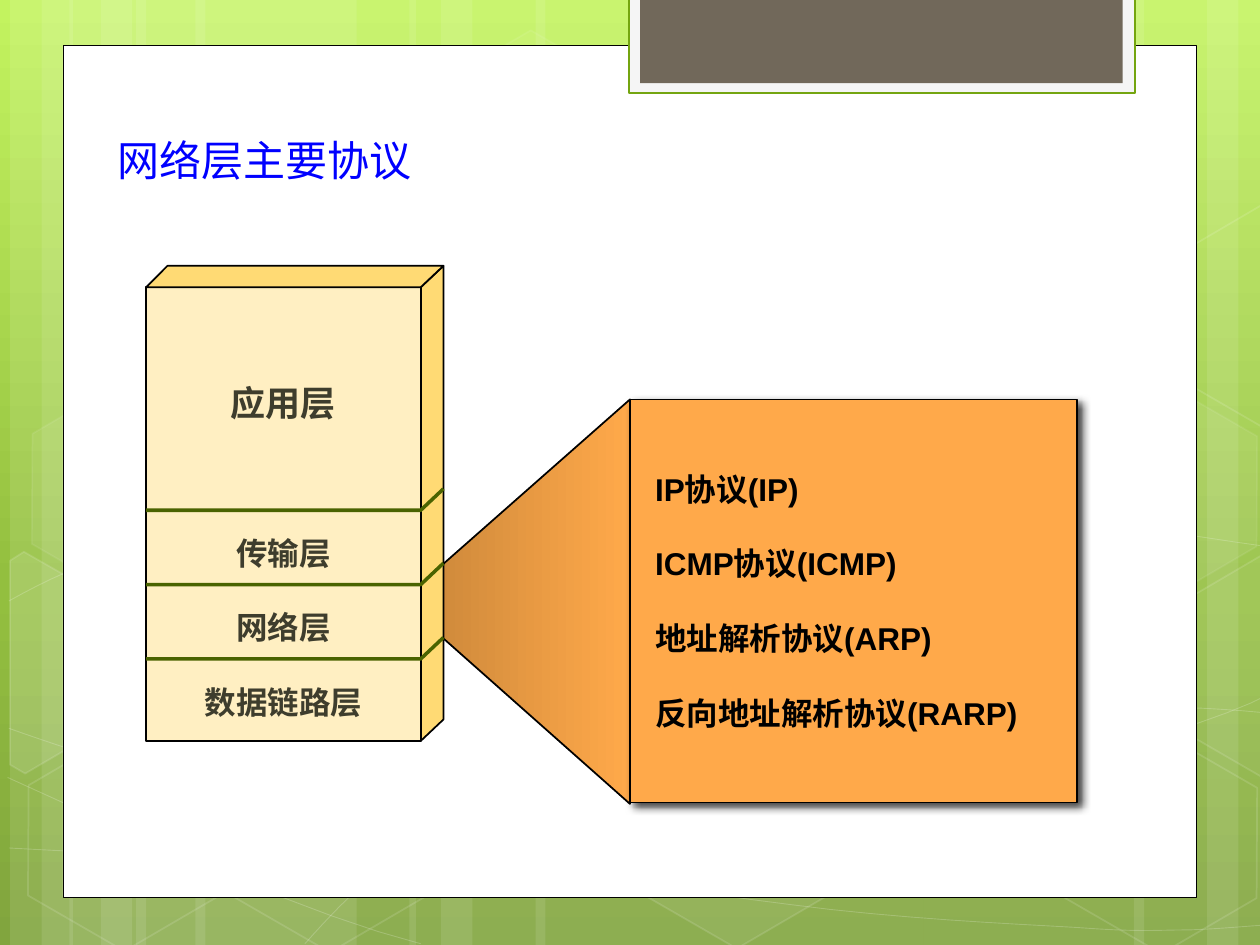
from lxml.etree import SubElement
from pptx import Presentation
from pptx.dml.color import RGBColor
from pptx.enum.shapes import MSO_SHAPE
from pptx.enum.text import MSO_ANCHOR, MSO_AUTO_SIZE, PP_ALIGN
from pptx.oxml.ns import qn
from pptx.util import Inches, Pt

# Content
TITLE = "网络层主要协议"
TOP_LAYER = "应用层"
LOWER_LAYERS = ["传输层", "网络层", "数据链路层"]
PROTOCOLS = ["IP协议(IP)", "ICMP协议(ICMP)", "地址解析协议(ARP)", "反向地址解析协议(RARP)"]

COLORS = {
    "white": "FFFFFF", "black": "000000", "tab": "F5F5F5", "tab_line": "74A510",
    "tab_inner": "71685A", "title": "0000FF", "card": "FFA94A", "card_dark": "C88539",
    "front": "FFEFC2", "side": "FFDA74", "divider": "4A6300", "layer_text": "3E3D2D",
}
BACKGROUND_STOPS = [(0, "C3F35F"), (62, "93BF3F"), (100, "81A53E")]

# Background decoration: stripes are (left, width)
STRIPES = [(1.08, 1.75), (0.08, 0.5), (0.33, 0.83), (1.55, 1.75), (0.55, 0.5), (0.8, 0.83),
           (7.33, 1.75), (9.58, 0.5), (9, 0.83), (4.25, 3.08), (3.25, 0.5), (3.5, 0.83)]
# Each curve is a start point followed by cubic segments of three points
CURVES = [
    [(0.07, 6.73), (0.61, 6.76), (1.15, 6.79), (1.9, 6.78), (2.65, 6.77), (3.58, 6.75),
     (4.58, 6.65), (5.58, 6.55), (7, 6.36), (7.92, 6.17), (8.83, 5.98), (9.77, 5.68), (10.07, 5.51)],
    [(0.07, 4.77), (0.36, 4.61), (0.65, 4.46), (1.21, 4.31), (1.78, 4.16), (2.59, 3.94),
     (3.47, 3.87), (4.36, 3.8), (5.44, 3.79), (6.54, 3.87), (7.64, 3.95), (9.47, 4.26), (10.07, 4.34)],
    [(0.06, 6.17), (1.27, 6.72), (2.47, 7.27), (3.34, 7.49)],
    [(0.07, 5.78), (0.38, 5.89), (0.7, 6), (1.28, 6.16), (1.86, 6.31), (2.73, 6.56),
     (3.57, 6.73), (4.4, 6.9), (5.45, 7.08), (6.28, 7.18), (7.11, 7.29), (8, 7.33),
     (8.53, 7.36), (9.05, 7.4), (9.19, 7.38), (9.45, 7.38), (9.71, 7.37), (9.89, 7.35), (10.07, 7.34)],
    [(2.42, 7.49), (2.6, 7.29), (2.78, 7.09), (3.02, 6.91), (3.26, 6.73), (3.6, 6.53),
     (3.88, 6.39), (4.16, 6.25), (4.33, 6.19), (4.7, 6.09), (5.06, 5.99), (5.73, 5.85),
     (6.08, 5.78), (6.44, 5.71), (6.49, 5.71), (6.8, 5.69), (7.11, 5.66), (7.6, 5.63),
     (7.94, 5.62), (8.29, 5.61), (8.86, 5.62), (8.86, 5.62), (9.08, 5.62), (9.31, 5.62),
     (9.53, 5.62), (9.71, 5.63), (9.88, 5.64), (10.06, 5.66)],
]
# Hexagons: left, top, fill opacity, line opacity
HEXAGONS = [(3.34, 0.36, 4, 8), (4.97, 5.89, 6, 12), (0.11, 5.91, 0, 12), (0.14, 3.12, 7, 8),
            (1.74, 5.92, 0, 12), (7.53, 4.53, 10, 12), (8.34, 5.93, 0, 12), (8.34, 3.14, 7, 8)]
# Hexagons cut by the slide edge: fill opacity, points
CUT_HEXAGONS = [
    (10, [(0.08, 4.45), (0.19, 4.38), (0.96, 4.82), (0.95, 5.7), (0.2, 6.14), (0.08, 6.07)]),
    (4, [(9.26, 4.85), (10.01, 4.41), (10.09, 4.46), (10.09, 6.13), (10.02, 6.17), (9.26, 5.73)]),
    (0, [(9.26, 2.07), (10.01, 1.63), (10.1, 1.68), (10.09, 3.35), (10.02, 3.39), (9.26, 2.95)]),
]

# Stack geometry
LEFT, FRONT_RIGHT, BACK_RIGHT = 1.16, 3.34, 3.52
BACK_TOP, FRONT_TOP, FRONT_BOTTOM = 2.11, 2.28, 5.88
DEPTH = FRONT_TOP - BACK_TOP
FIRST_DIVIDER, LAYER_STEP = 4.05, 0.59

presentation = Presentation()
presentation.slide_width, presentation.slide_height = Inches(10), Inches(7.5)
slide = presentation.slides.add_slide(presentation.slide_layouts[5])
shapes = slide.shapes


def set_opacity(fill, percent):
    color = next(fill._xPr.iter(qn("a:srgbClr")))
    SubElement(color, qn("a:alpha"), val=str(percent * 1000))


def set_gradient(fill, stops, angle):
    fill.gradient()
    fill.gradient_angle = angle
    stop_list = next(fill._xPr.iter(qn("a:gsLst")))
    for stop in list(stop_list):
        stop_list.remove(stop)
    for position, color in stops:
        stop = SubElement(stop_list, qn("a:gs"), pos=str(position * 1000))
        SubElement(stop, qn("a:srgbClr"), val=color)


def style(shape, fill=None, line=None, line_width=1, fill_opacity=100, line_opacity=100):
    shape.shadow.inherit = False
    for target, color, opacity in ((shape.fill, fill, fill_opacity),
                                   (shape.line.fill, line, line_opacity)):
        if color is None or opacity == 0:
            target.background()
            continue
        target.solid()
        target.fore_color.rgb = RGBColor.from_string(COLORS[color])
        if opacity < 100:
            set_opacity(target, opacity)
    if line:
        shape.line.width = Pt(line_width)
    return shape


def add_box(left, top, width, height, kind=MSO_SHAPE.RECTANGLE, **look):
    return style(shapes.add_shape(kind, *map(Inches, (left, top, width, height))), **look)


def add_outline(points, close=True, **look):
    start, *rest = [(Inches(x), Inches(y)) for x, y in points]
    builder = shapes.build_freeform(*start)
    builder.add_line_segments(rest, close=close)
    return style(builder.convert_to_shape(), **look)


def sample_curve(points, steps=8):
    result = [points[0]]
    for first in range(0, len(points) - 1, 3):
        a, b, c, d = points[first:first + 4]
        for step in range(1, steps + 1):
            t = step / steps
            u = 1 - t
            result.append(tuple(u**3 * a[i] + 3 * u * u * t * b[i] + 3 * u * t * t * c[i]
                                + t**3 * d[i] for i in (0, 1)))
    return result


def write_text(shape, lines, size=18, font="Arial", color="black", bold=True, align=PP_ALIGN.LEFT,
               anchor=MSO_ANCHOR.TOP, insets=(0.16, 0.08), wrap=True, spacing=None, gap=None):
    frame = shape.text_frame
    frame.text = "\n".join(lines)
    frame.auto_size = MSO_AUTO_SIZE.NONE
    frame.word_wrap, frame.vertical_anchor = wrap, anchor
    frame.margin_left = frame.margin_right = Inches(insets[0])
    frame.margin_top = frame.margin_bottom = Inches(insets[1])
    for index, paragraph in enumerate(frame.paragraphs):
        paragraph.alignment, paragraph.line_spacing = align, spacing
        if index and gap:
            paragraph.space_before = gap
        paragraph.font.size, paragraph.font.name, paragraph.font.bold = Pt(size), font, bold
        paragraph.font.color.rgb = RGBColor.from_string(COLORS[color])


def add_layer_name(name, top, size=18):
    width = 1.64
    left = (LEFT + FRONT_RIGHT - width) / 2
    box = shapes.add_textbox(*map(Inches, (left, top, width, 0.47)))
    write_text(box, [name], size=size, color="layer_text", align=PP_ALIGN.CENTER, spacing=0.95)


# Background
set_gradient(slide.background.fill, BACKGROUND_STOPS, 270)
for left, width in STRIPES:
    add_box(left, 0, width, 7.5, fill="white", fill_opacity=10)
for curve in CURVES:
    add_outline(sample_curve(curve), close=False, line="white", line_width=0.5, line_opacity=20)
for left, top, fill_opacity, line_opacity in HEXAGONS:
    hexagon = add_box(left, top, 1.75, 1.52, MSO_SHAPE.HEXAGON, fill="white", line="white",
                      fill_opacity=fill_opacity, line_opacity=line_opacity)
    hexagon.adjustments[0] = 0.285
    hexagon.rotation = 30
for opacity, points in CUT_HEXAGONS:
    add_outline(points, fill="white", line="white", fill_opacity=opacity, line_opacity=12)

# White panel and top tab
add_box(0.5, 0.36, 9, 6.76, fill="white", line="black", line_width=0.5)
add_box(4.99, -0.02, 4.02, 0.76, fill="tab", line="tab_line", line_width=1.25)
add_box(5.08, -0.02, 3.83, 0.68, fill="tab_inner")

# Title, brought in front of the panel
title = shapes.title
title.left, title.top, title.width, title.height = map(Inches, (0.84, 0.26, 8.34, 1.25))
write_text(title, [TITLE], size=24, font="League Spartan", color="title", bold=False,
           anchor=MSO_ANCHOR.BOTTOM, insets=(0.09, 0.04))
shapes._spTree.append(title._element)

# Fan from the network layer to the protocol card
fan = add_outline([(3.23, 4.73), (5, 3.17), (5, 6.38), (3.41, 4.97)], close=False,
                  fill="card", line="black")
set_gradient(fan.fill, [(0, COLORS["card_dark"]), (100, COLORS["card"])], 0)

# Protocol card
card = add_box(5, 3.17, 3.55, 3.2, fill="card", line="black")
effects = card._element.spPr.find(qn("a:effectLst"))
shadow = SubElement(effects, qn("a:outerShdw"), blurRad=str(Pt(5)), dist=str(Pt(3)),
                    dir="2700000", algn="tl", rotWithShape="0")
shadow_color = SubElement(shadow, qn("a:srgbClr"), val=COLORS["black"])
SubElement(shadow_color, qn("a:alpha"), val="75000")
write_text(card, PROTOCOLS, anchor=MSO_ANCHOR.MIDDLE, insets=(0.2, 0.1), wrap=False,
           spacing=Pt(21.4), gap=Pt(21.4))

# Layer stack
add_outline([(BACK_RIGHT, BACK_TOP), (FRONT_RIGHT, FRONT_TOP), (FRONT_RIGHT, FRONT_BOTTOM),
             (BACK_RIGHT, FRONT_BOTTOM - DEPTH)], fill="side", line="black")
add_box(LEFT, FRONT_TOP, FRONT_RIGHT - LEFT, FRONT_BOTTOM - FRONT_TOP, fill="front", line="black")
add_outline([(LEFT, FRONT_TOP), (LEFT + DEPTH, BACK_TOP), (BACK_RIGHT, BACK_TOP),
             (FRONT_RIGHT, FRONT_TOP)], fill="side", line="black")
add_layer_name(TOP_LAYER, 2.97, size=20)
for index, name in enumerate(LOWER_LAYERS):
    y = FIRST_DIVIDER + index * LAYER_STEP
    add_layer_name(name, y + 0.13)
    add_outline([(LEFT, y), (FRONT_RIGHT, y), (BACK_RIGHT, y - DEPTH)], close=False,
                line="divider", line_width=2)

presentation.save("out.pptx")
